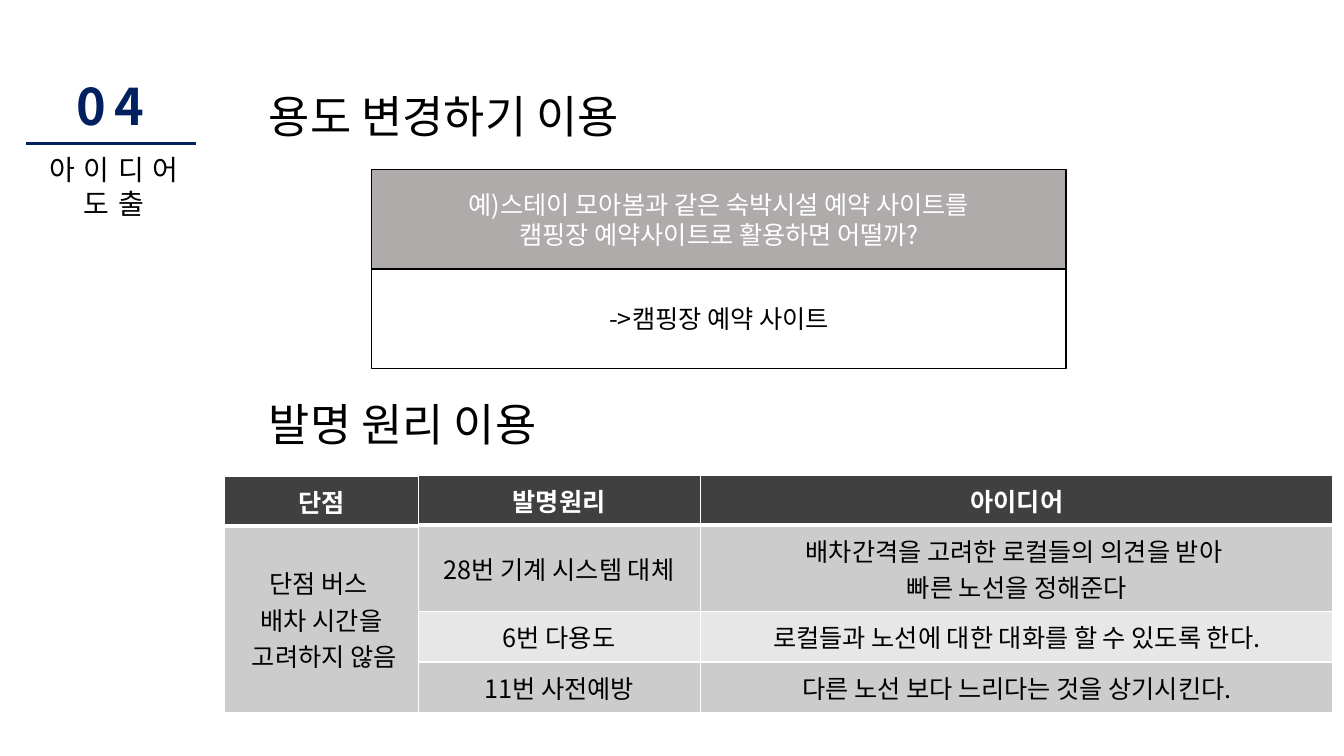
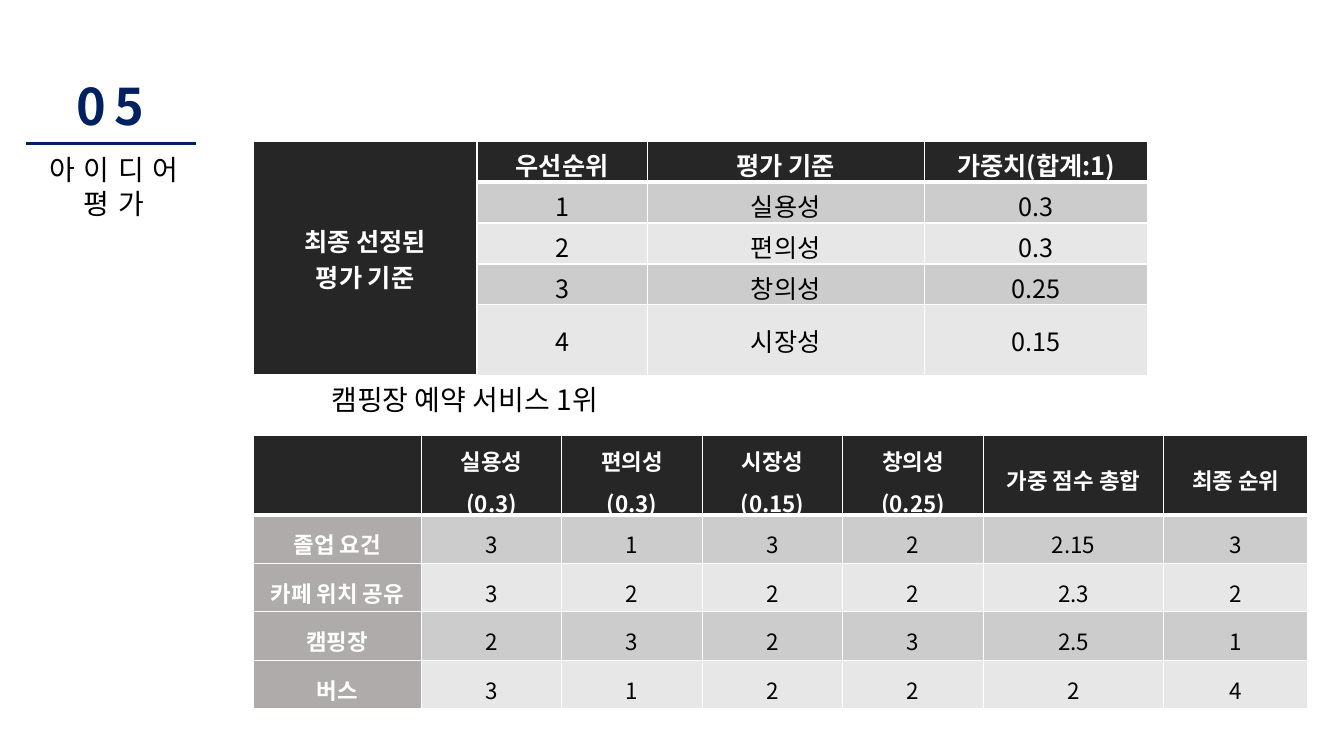
from lxml import etree
from pptx import Presentation
from pptx.dml.color import RGBColor
from pptx.enum.shapes import MSO_CONNECTOR, MSO_SHAPE
from pptx.enum.text import MSO_ANCHOR, MSO_AUTO_SIZE, PP_ALIGN
from pptx.oxml.ns import qn
from pptx.util import Cm, Pt

STRAIGHT = MSO_CONNECTOR.STRAIGHT
PROCESS = MSO_SHAPE.FLOWCHART_PROCESS
TOP, MIDDLE = MSO_ANCHOR.TOP, MSO_ANCHOR.MIDDLE
LEFT, CENTER = PP_ALIGN.LEFT, PP_ALIGN.CENTER
FIT_SHAPE = MSO_AUTO_SIZE.SHAPE_TO_FIT_TEXT

FONT = "Noto Sans CJK KR"
NAVY, BLACK, WHITE = "002060", "000000", "FFFFFF"
CHARCOAL, INK, GRAY = "404040", "262626", "AFABAB"
BANDS = ("E7E7E7", "CCCCCC")


def rgb(value):
    return RGBColor.from_string(value)


class Deck:
    """Hold the shared style and the slide being built."""

    def __init__(self):
        self.presentation = Presentation()
        self.presentation.slide_width = Cm(33.87)
        self.presentation.slide_height = Cm(19.05)
        self.shapes = None

    def section(self, number, topic):
        layout = self.presentation.slide_layouts[6]
        self.shapes = self.presentation.slides.add_slide(layout).shapes
        self.text(1.68, 1.78, 2.6, 1.8, [number], 36, color=NAVY, bold=True,
                  spacing=6, wrap=False)
        self.rule(0.66, 4.93, 3.61)
        self.text(0.76, 3.73, 4.22, 1.96, ["아이디어", topic], 20,
                  align=CENTER, spacing=6, wrap=False)

    def add_lines(self, frame, lines, size, color=BLACK, bold=False, align=LEFT,
                  spacing=0, line_spacing=None):
        for index, line in enumerate(lines):
            paragraph = frame.add_paragraph() if index else frame.paragraphs[0]
            paragraph.alignment = align
            if line_spacing:
                paragraph.line_spacing = line_spacing
            run = paragraph.add_run()
            run.text = line
            run.font.size = Pt(size)
            run.font.bold = bold
            run.font.color.rgb = rgb(color)
            run.font.name = FONT
            properties = run._r.get_or_add_rPr()
            etree.SubElement(properties, qn("a:ea"), typeface=FONT)
            if spacing:
                properties.set("spc", str(spacing * 100))

    def text(self, left, top, width, height, lines, size, wrap=True,
             anchor=TOP, **style):
        box = self.shapes.add_textbox(Cm(left), Cm(top), Cm(width), Cm(height))
        frame = box.text_frame
        frame.word_wrap = wrap
        frame.auto_size = FIT_SHAPE
        frame.vertical_anchor = anchor
        self.add_lines(frame, lines, size, **style)

    def rule(self, start, end, y):
        line = self.shapes.add_connector(STRAIGHT, Cm(start), Cm(y), Cm(end), Cm(y))
        line.line.color.rgb = rgb(NAVY)
        line.line.width = Pt(2)
        etree.SubElement(line._element.spPr, qn("a:effectLst"))

    def process(self, top, lines, fill, color):
        step = self.shapes.add_shape(PROCESS, Cm(9.37), Cm(top), Cm(17.5), Cm(2.51))
        step.shadow.inherit = False
        step.fill.solid()
        step.fill.fore_color.rgb = rgb(fill)
        step.line.color.rgb = rgb(BLACK)
        step.line.width = Pt(1)
        step.text_frame.word_wrap = True
        step.text_frame.vertical_anchor = MIDDLE
        self.add_lines(step.text_frame, lines, 18, color, align=CENTER)

    def borders(self, cell, bottom):
        properties = cell._tc.get_or_add_tcPr()
        for side, width in (("L", 1), ("R", 1), ("T", 1), ("B", bottom)):
            edge = etree.SubElement(properties, qn("a:ln" + side), w=str(Pt(width)))
            paint = etree.SubElement(edge, qn("a:solidFill"))
            etree.SubElement(paint, qn("a:srgbClr"), val=WHITE)

    def table(self, left, top, widths, heights, rows, header, size=18,
              side=None, line_spacing=None, margins=(0.25, 0.13)):
        grid = self.shapes.add_table(
            len(heights), len(widths), Cm(left), Cm(top),
            Cm(sum(widths)), Cm(sum(heights))).table
        grid.first_row = grid.horz_banding = False
        for column, width in zip(grid.columns, widths):
            column.width = Cm(width)
        for r, (height, row) in enumerate(zip(heights, rows)):
            grid.rows[r].height = Cm(height)
            for c, content in enumerate(row):
                cell = grid.cell(r, c)
                is_side = side is not None and c == 0
                strong = r == 0 or is_side
                fill = header if r == 0 else side if is_side else BANDS[r % 2]
                self.borders(cell, 1 if r else 3)
                cell.fill.solid()
                cell.fill.fore_color.rgb = rgb(fill)
                cell.vertical_anchor = MIDDLE
                cell.margin_left = cell.margin_right = Cm(margins[0])
                cell.margin_top = cell.margin_bottom = Cm(margins[1])
                if content:
                    self.add_lines(cell.text_frame, content.split("\n"), size,
                                   WHITE if strong else BLACK, strong, CENTER,
                                   line_spacing=line_spacing)
        return grid


def build_ideas(deck):
    deck.section("04", "도출")
    deck.table(10.52, 11.99, [7.14, 15.93], [1.24, 2.18, 1.27, 1.27], [
        ["발명원리", "아이디어"],
        ["28번 기계 시스템 대체",
         "배차간격을 고려한 로컬들의 의견을 받아 \n빠른 노선을 정해준다"],
        ["6번 다용도", "로컬들과 노선에 대한 대화를 할 수 있도록 한다."],
        ["11번 사전예방", "다른 노선 보다 느리다는 것을 상기시킨다."],
    ], CHARCOAL)
    deck.table(5.66, 12.01, [4.88], [1.24, 4.7], [
        ["단점"],
        ["단점 버스 \n배차 시간을\n 고려하지 않음"],
    ], CHARCOAL)
    deck.text(6.53, 9.86, 8.53, 1.63, ["발명 원리 이용"], 32)
    deck.process(4.27, ["예)스테이 모아봄과 같은 숙박시설 예약 사이트를",
                        "캠핑장 예약사이트로 활용하면 어떨까?"], GRAY, WHITE)
    deck.process(6.78, ["->캠핑장 예약 사이트"], WHITE, BLACK)
    deck.text(6.53, 2.11, 11.23, 1.63, ["용도 변경하기 이용"], 32)


def build_evaluation(deck):
    deck.section("05", "평가")
    deck.table(6.38, 10.97, [4.24] + [3.54] * 4 + [4.55, 3.63],
               [2.01] + [1.22] * 4, [
        ["", "실용성\n(0.3)", "편의성\n(0.3)", "시장성\n(0.15)", "창의성\n(0.25)",
         "가중 점수 총합", "최종 순위"],
        ["졸업 요건", "3", "1", "3", "2", "2.15", "3"],
        ["카페 위치 공유", "3", "2", "2", "2", "2.3", "2"],
        ["캠핑장", "2", "3", "2", "3", "2.5", "1"],
        ["버스", "3", "1", "2", "2", "2", "4"],
    ], INK, size=16, side=GRAY, line_spacing=1.3, margins=(0.18, 0))
    deck.text(8.1, 9.5, 8.08, 1.12, ["캠핑장 예약 서비스 1위"], 20,
              wrap=False, anchor=MIDDLE)
    criteria = deck.table(6.38, 3.56, [5.64, 4.29, 6.98, 5.64], [1.03] * 5, [
        ["최종 선정된\n평가 기준", "우선순위", "평가 기준", "가중치(합계:1)"],
        ["", "1", "실용성", "0.3"],
        ["", "2", "편의성", "0.3"],
        ["", "3", "창의성", "0.25"],
        ["", "4", "시장성", "0.15"],
    ], INK, side=INK)
    criteria.cell(0, 0).merge(criteria.cell(4, 0))


def main():
    deck = Deck()
    build_ideas(deck)
    build_evaluation(deck)
    deck.presentation.save("out.pptx")


if __name__ == "__main__":
    main()
